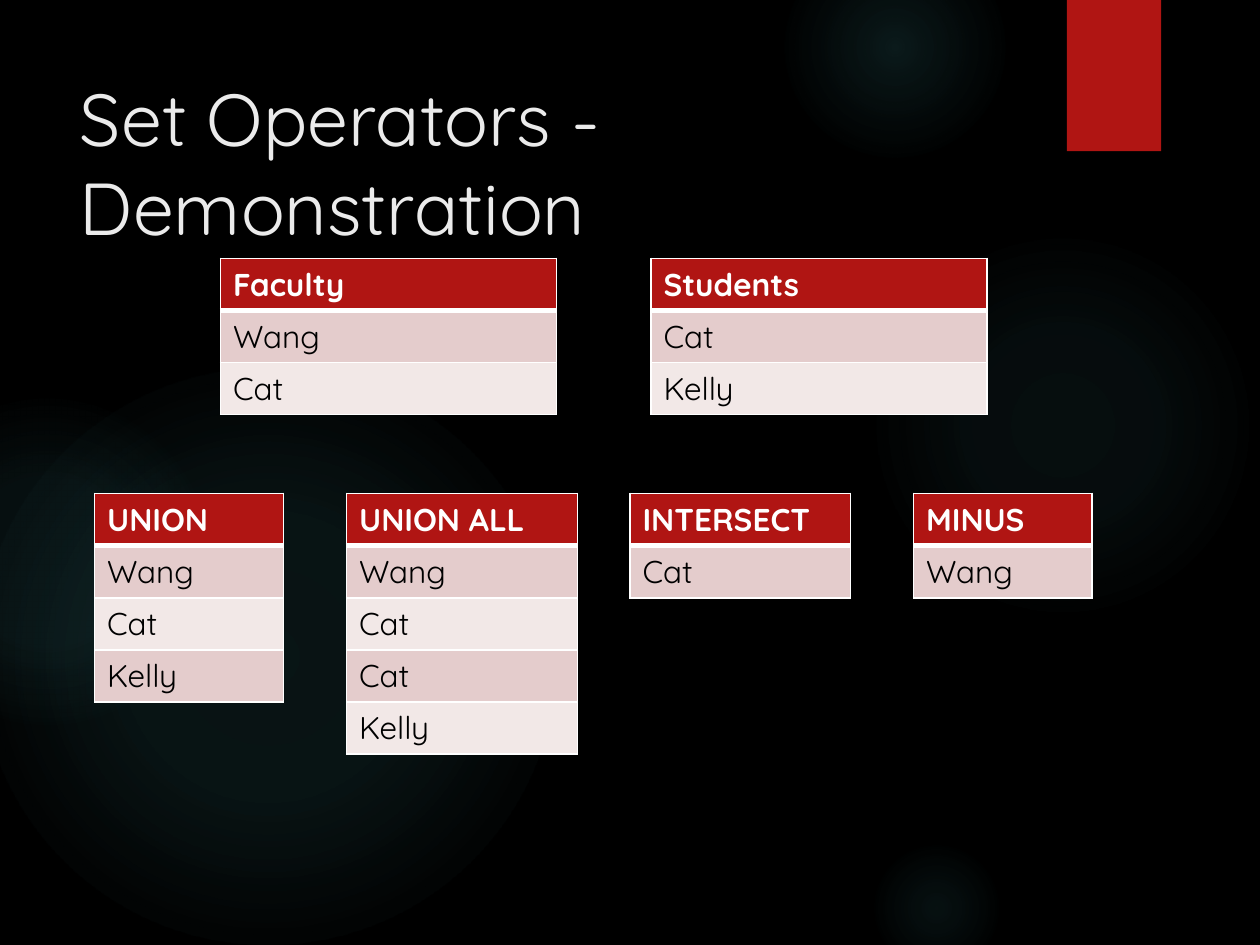
from lxml import etree
from pptx import Presentation, util as u
from pptx.dml.color import RGBColor
from pptx.enum import shapes, text
from pptx.oxml import parse_xml
from pptx.oxml.ns import nsdecls

BLACK = RGBColor(0, 0, 0)
WHITE = RGBColor(255, 255, 255)
PALE = RGBColor(0xEB, 0xEB, 0xEB)
RED = RGBColor(0xB0, 0x15, 0x13)
TEAL = RGBColor(0x50, 0xB9, 0xC1)
BANDS = [RGBColor(0xF2, 0xE8, 0xE7), RGBColor(0xE4, 0xCC, 0xCC)]
FONT = "Quicksand"

deck = Presentation()
deck.slide_width, deck.slide_height = u.Inches(10), u.Inches(7.5)
UNIT = deck.slide_width / 120
ROW = 4.9


def grid(*spans):
    return [round(span * UNIT) for span in spans]


def style(para, size, color, bold=False):
    font = para.font
    font.name, font.size, font.bold = FONT, u.Pt(size), bold
    font.color.rgb = color


slide = deck.slides.add_slide(deck.slide_layouts[5])
back = slide.background.fill
back.solid()
back.fore_color.rgb = BLACK

glows = [
    (82.7, 22, 37, (7, 6), 69),
    (74.7, -6, 21, (14, 7), 73),
    (82.7, 80, 13, (9, 5), 66),
    (-2, 35, 55, (11, 10), 75),
    (-11, 38, 31, (8, 8), 72),
]
for left, top, size, (core, mid), edge in glows:
    glow = slide.shapes.add_shape(
        shapes.MSO_SHAPE.OVAL, *grid(left, top, size, size))
    glow.shadow.inherit = False
    glow.line.fill.background()
    stops = "".join(
        f'<a:gs pos="{pos * 1000}"><a:srgbClr val="{TEAL}">'
        f'<a:alpha val="{alpha * 1000}"/></a:srgbClr></a:gs>'
        for pos, alpha in [(0, core), (36, mid), (edge, 0)])
    fade = parse_xml(
        f'<a:gradFill {nsdecls("a")}><a:gsLst>{stops}</a:gsLst>'
        '<a:path path="circle"><a:fillToRect l="50000" t="50000" '
        'r="50000" b="50000"/></a:path></a:gradFill>')
    glow.element.spPr.prstGeom.addnext(fade)

tab = slide.shapes.add_shape(
    shapes.MSO_SHAPE.RECTANGLE, *grid(101.6, 0, 9, 14.4))
tab.shadow.inherit = False
tab.fill.solid()
tab.fill.fore_color.rgb = RED
tab.line.fill.background()

title = slide.shapes.title
title.left, title.top, title.width, title.height = grid(6.4, 6, 92.6, 18.4)
frame = title.text_frame
frame.text = "Set Operators - Demonstration"
frame.word_wrap = True
frame.auto_size = text.MSO_AUTO_SIZE.NONE
frame.vertical_anchor = text.MSO_ANCHOR.BOTTOM
frame.paragraphs[0].alignment = text.PP_ALIGN.LEFT
style(frame.paragraphs[0], 42, PALE)
slide.shapes.element.append(title.element)

sets = [
    (21, 24.6, 32, ["Faculty", "Wang", "Cat"]),
    (62, 24.6, 32, ["Students", "Cat", "Kelly"]),
    (9, 47, 18, ["UNION", "Wang", "Cat", "Kelly"]),
    (33, 47, 22, ["UNION ALL", "Wang", "Cat", "Cat", "Kelly"]),
    (60, 47, 21, ["INTERSECT", "Cat"]),
    (87, 47, 17, ["MINUS", "Wang"]),
]
for left, top, width, names in sets:
    table = slide.shapes.add_table(
        len(names), 1, *grid(left, top, width, ROW * len(names))).table
    for row, name in enumerate(names):
        cell = table.cell(row, 0)
        cell.text = name
        head = row == 0
        style(cell.text_frame.paragraphs[0], 18,
              WHITE if head else BLACK, head)
        props = cell._tc.get_or_add_tcPr()
        for side in "LRTB":
            thick = (head and side == "B") or (row == 1 and side == "T")
            props.append(parse_xml(
                f'<a:ln{side} {nsdecls("a")} w="{u.Pt(3 if thick else 1)}">'
                f'<a:solidFill><a:srgbClr val="{WHITE}"/></a:solidFill>'
                f'</a:ln{side}>'))
        cell.fill.solid()
        cell.fill.fore_color.rgb = RED if head else BANDS[row % 2]

deck.save("out.pptx")
